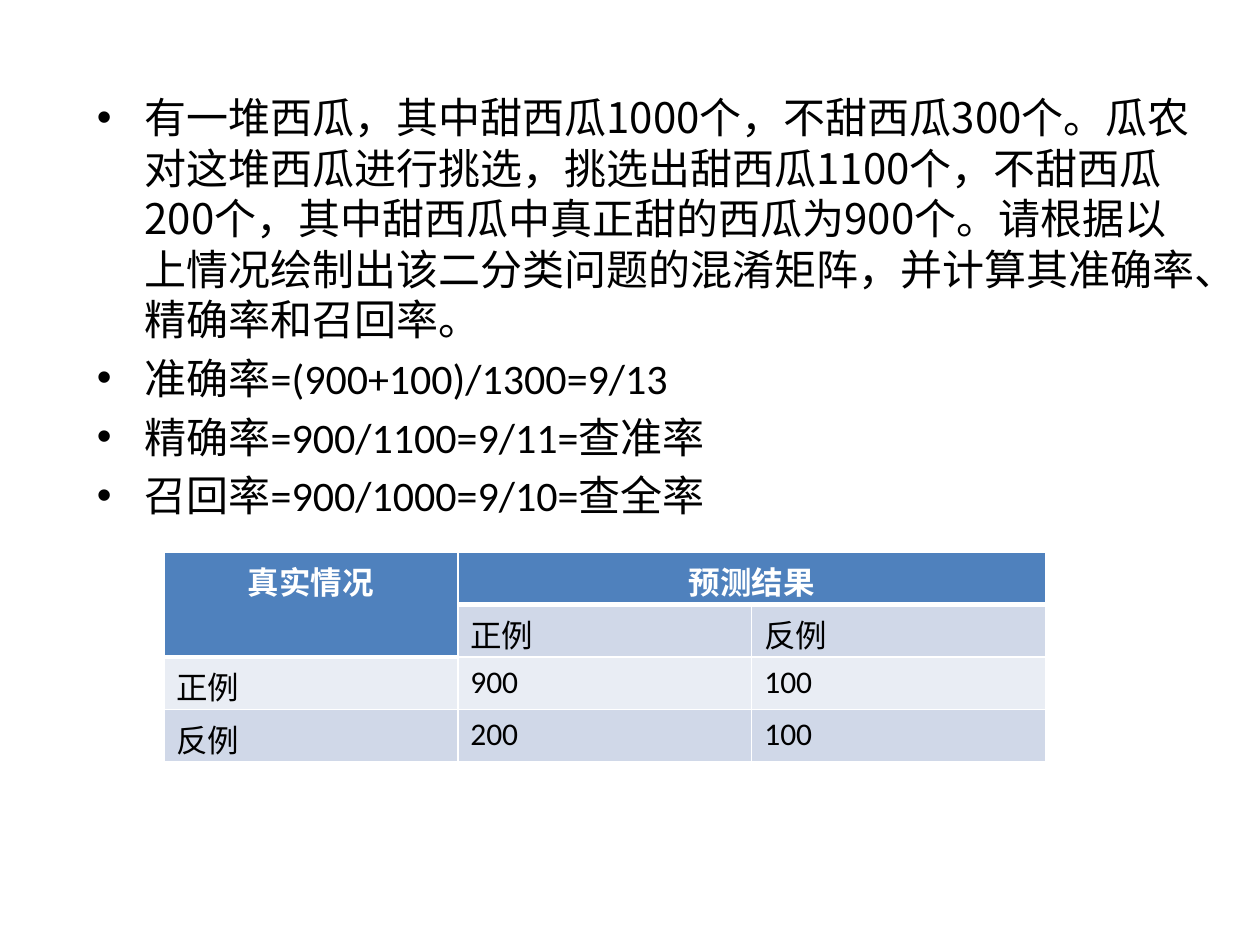
from pptx import Presentation
from pptx.dml.color import RGBColor
from pptx.enum.text import PP_ALIGN as Align
from pptx.oxml.ns import qn
from pptx.util import Inches, Pt
from lxml.etree import SubElement

CJK = "Noto Sans CJK SC"
LATIN = "Calibri"

PROBLEM = (
    "有一堆西瓜，其中甜西瓜1000个，不甜西瓜300个。瓜农对这堆西瓜进行挑选，"
    "挑选出甜西瓜1100个，不甜西瓜200个，其中甜西瓜中真正甜的西瓜为900个。"
    "请根据以上情况绘制出该二分类问题的混淆矩阵，并计算其准确率、精确率和召回率。"
)
BULLETS = [
    [(PROBLEM, CJK)],
    [("准确率=(900+100)/1300=9/13", LATIN)],
    [("精确率=900/1100=9/11=", LATIN), ("查准率", "Roboto")],
    [("召回率=900/1000=9/10=", LATIN), ("查全率", "Roboto")],
]
CONFUSION_MATRIX = [
    ["真实情况", "预测结果", ""],
    ["", "正例", "反例"],
    ["正例", "900", "100"],
    ["反例", "200", "100"],
]


def color(value):
    return RGBColor.from_string(value)


def apply(target, values):
    for name, value in values.items():
        setattr(target, name, value)


class SlideBuilder:
    black, white = "000000", "FFFFFF"
    header_fill, bands = "4F81BD", ("E9EDF4", "D0D8E8")
    body_format = {"size": Pt(24), "bold": False}
    cell_format = {"size": Pt(18), "bold": False}
    header_format = {"size": Pt(18), "bold": True}
    bullet_spacing = {"space_before": Pt(4.8), "line_spacing": Pt(28.8)}

    def __init__(self, slide):
        self.slide = slide

    def add_run(self, paragraph, text, font_name, font_color, values):
        run = paragraph.add_run()
        run.text = text
        apply(run.font, {"name": font_name, **values})
        run.font.color.rgb = color(font_color)
        SubElement(run.font._element, qn("a:ea"), typeface=CJK)

    def add_bullets(self, left, top, width, height, items):
        box = self.slide.shapes.add_textbox(left, top, width, height)
        frame = box.text_frame
        frame.word_wrap = True
        for index, runs in enumerate(items):
            paragraph = frame.add_paragraph() if index else frame.paragraphs[0]
            apply(paragraph, self.bullet_spacing)
            for text, font_name in runs:
                self.add_run(paragraph, text, font_name, self.black, self.body_format)
            properties = paragraph._p.get_or_add_pPr()
            properties.set("marL", str(Inches(0.38)))
            properties.set("indent", str(-Inches(0.38)))
            SubElement(properties, qn("a:buFont"), typeface="Arial")
            SubElement(properties, qn("a:buChar"), char="•")

    def add_borders(self, cell, bottom_width):
        properties = cell._tc.get_or_add_tcPr()
        for side, points in zip("LRTB", (1, 1, 1, bottom_width)):
            line = SubElement(properties, qn(f"a:ln{side}"), w=str(Pt(points)))
            fill = SubElement(line, qn("a:solidFill"))
            SubElement(fill, qn("a:srgbClr"), val=self.white)

    def add_table(self, left, top, width, height, rows, merges):
        """Add a banded table; cells merged by the given corner pairs are headers."""
        shape = self.slide.shapes.add_table(len(rows), len(rows[0]), left, top, width, height)
        table = shape.table
        headers = set()
        for (top_row, left_column), (bottom_row, right_column) in merges:
            table.cell(top_row, left_column).merge(table.cell(bottom_row, right_column))
            headers |= {
                (row, column)
                for row in range(top_row, bottom_row + 1)
                for column in range(left_column, right_column + 1)
            }
        for row, texts in enumerate(rows):
            for column, text in enumerate(texts):
                cell = table.cell(row, column)
                is_header = (row, column) in headers
                self.add_borders(cell, 3 if is_header else 1)
                cell.fill.solid()
                cell.fill.fore_color.rgb = color(self.header_fill if is_header else self.bands[row % 2])
                if text:
                    paragraph = cell.text_frame.paragraphs[0]
                    paragraph.alignment = Align.CENTER if is_header else Align.LEFT
                    self.add_run(
                        paragraph, text, LATIN,
                        self.white if is_header else self.black,
                        self.header_format if is_header else self.cell_format,
                    )


def main():
    presentation = Presentation()
    apply(presentation, {"slide_width": Inches(10), "slide_height": Inches(7.5)})
    builder = SlideBuilder(presentation.slides.add_slide(presentation.slide_layouts[6]))
    builder.add_bullets(Inches(0.67), Inches(0.68), Inches(9), Inches(4.95), BULLETS)
    builder.add_table(
        Inches(1.3), Inches(4.38), Inches(7), Inches(1.67), CONFUSION_MATRIX,
        merges=[((0, 0), (1, 0)), ((0, 1), (0, 2))],
    )
    presentation.save("out.pptx")


if __name__ == "__main__":
    main()
